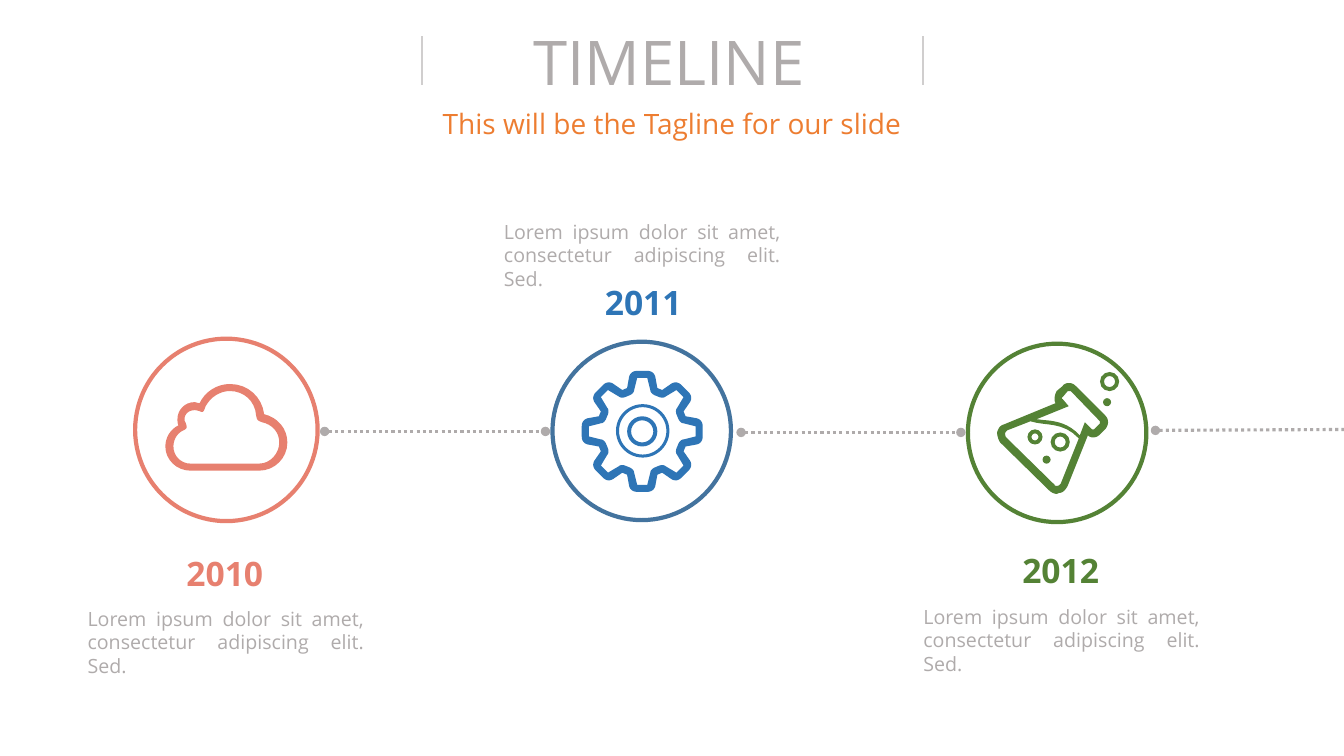
"""Build a three-stop timeline slide with line icons."""
from dataclasses import dataclass
from math import cos, pi, sin

from lxml.etree import SubElement as add_node
from pptx import Presentation
from pptx.dml.color import RGBColor as Color
from pptx.enum.dml import MSO_LINE as Dash
from pptx.enum.shapes import MSO_CONNECTOR as Link, MSO_SHAPE as Form
from pptx.enum.text import PP_ALIGN as Align
from pptx.oxml.ns import qn
from pptx.util import Inches, Pt

Point = tuple[float, float]
Path = list[Point]


@dataclass(frozen=True)
class Theme:
    """Hold the colours, the font and the type sizes."""
    font: str = "Open Sans"
    gray: str = "AFABAB"
    pale: str = "D0CECE"
    white: str = "FFFFFF"
    orange: str = "ED7D31"
    coral: str = "E7806F"
    blue: str = "2E75B6"
    steel: str = "43739E"
    green: str = "548235"
    title: int = 44
    year: int = 24
    tag: int = 20
    body: int = 14


@dataclass(frozen=True)
class Ring:
    """Describe a ring, or a solid dot when it has no thickness."""
    left: float
    top: float
    size: float
    thick: float = 0


@dataclass(frozen=True)
class Stop:
    """Describe one year on the timeline."""
    year: str
    hue: str
    edge: str
    disc: Ring
    head: Point
    note: Point
    icon: list[Path]
    rings: tuple[Ring, ...] = ()


@dataclass(frozen=True)
class Rule:
    """Describe one straight line."""
    start: Point
    end: Point
    hue: str
    width: float
    dotted: bool = False


THEME = Theme()
NOTE = "Lorem ipsum dolor sit amet, consectetur adipiscing elit. Sed."

CLOUD = (
    "2.57 4.6, 1.89 4.6, 1.79 4.6 1.72 4.52 1.72 4.43, 1.72 4.37 1.75 4.31 1.8 4.28,"
    "1.86 4.25 1.86 4.25 1.84 4.19, 1.83 4.18 1.83 4.17 1.83 4.16,"
    "1.83 4.11 1.87 4.07 1.93 4.07, 1.93 4.07 1.95 4.07 1.98 4.08,"
    "2.02 4.1 2.02 4.08 2.04 4.03, 2.09 3.94 2.18 3.88 2.28 3.88,"
    "2.42 3.88 2.53 3.98 2.54 4.12, 2.55 4.17 2.55 4.17 2.6 4.19,"
    "2.7 4.21 2.77 4.29 2.77 4.39, 2.77 4.5 2.68 4.6 2.57 4.6",
    "2.62 4.11, 2.6 3.94 2.46 3.81 2.28 3.81, 2.15 3.81 2.03 3.89 1.98 4,"
    "1.96 4 1.94 3.99 1.93 3.99, 1.83 3.99 1.76 4.07 1.76 4.16,"
    "1.76 4.18 1.76 4.2 1.77 4.22, 1.69 4.26 1.64 4.34 1.64 4.43,"
    "1.64 4.56 1.75 4.67 1.89 4.67, 2.57 4.67, 2.72 4.67 2.85 4.55 2.85 4.39,"
    "2.85 4.25 2.75 4.14 2.62 4.11",
)
FLASK = (
    "10.91 4.2, 10.85 4.26, 10.83 4.26, 10.76 4.19, 10.71 4.32,"
    "10.6 4.2 10.48 4.18 10.38 4.17, 10.35 4.17 10.31 4.16 10.28 4.16,"
    "10.6 4.03, 10.54 3.96, 10.53 3.96 10.53 3.94 10.54 3.94, 10.59 3.88,"
    "10.6 3.88 10.61 3.88 10.62 3.88, 10.91 4.18",
    "10.52 4.8, 10.51 4.81 10.5 4.82 10.49 4.82, 10.48 4.82,"
    "10.47 4.82 10.46 4.82 10.46 4.81, 9.98 4.34, 9.97 4.33 9.97 4.31 9.97 4.3,"
    "9.97 4.29 9.98 4.28 9.99 4.27, 10.22 4.18, 10.38 4.23 10.54 4.18 10.7 4.35",
    "10.67 3.83, 10.65 3.81 10.63 3.8 10.6 3.8, 10.58 3.8 10.55 3.81 10.54 3.83,"
    "10.48 3.88, 10.47 3.9 10.46 3.93 10.46 3.95, 10.46 3.97 10.46 3.99 10.47 4,"
    "9.96 4.21, 9.92 4.22 9.9 4.25 9.89 4.29, 9.89 4.32 9.9 4.36 9.92 4.39,"
    "10.4 4.86, 10.42 4.88 10.45 4.9 10.48 4.9, 10.49 4.9 10.5 4.89 10.51 4.89,"
    "10.54 4.89 10.57 4.86 10.59 4.82, 10.79 4.32, 10.8 4.33 10.82 4.34 10.84 4.34,"
    "10.87 4.34 10.89 4.33 10.91 4.31, 10.96 4.26, 10.98 4.24 10.99 4.21 10.99 4.19,"
    "10.99 4.16 10.98 4.14 10.96 4.12",
)
TEETH = (
    "0.43 -0.15, 0.54 -0.13, 0.58 -0.12 0.6 -0.09 0.6 -0.05, 0.6 0.05,"
    "0.6 0.09 0.58 0.12 0.54 0.13, 0.43 0.15",
    "0.36 -0.12, 0.37 -0.1 0.39 -0.08 0.41 -0.08, 0.53 -0.05, 0.53 0.05,"
    "0.41 0.08, 0.39 0.08 0.37 0.1 0.36 0.12",
)


def trace(text: str, steps: int = 8) -> Path:
    """Turn point pairs and cubic curves into a run of points."""
    path: Path = []
    for part in text.split(","):
        nums = [float(word) for word in part.split()]
        ends = list(zip(nums[::2], nums[1::2]))
        if len(ends) == 1:
            path += ends
            continue
        knots = [path[-1], *ends]
        for step in range(1, steps + 1):
            t = step / steps
            mix = ((1 - t) ** 3, 3 * t * (1 - t) ** 2, 3 * t * t * (1 - t), t ** 3)
            path.append((sum(m * k[0] for m, k in zip(mix, knots)),
                         sum(m * k[1] for m, k in zip(mix, knots))))
    return path


def spin(tooth: Path, mid: Point, count: int = 8) -> Path:
    """Repeat a tooth around a centre."""
    turns = [2 * pi * n / count for n in range(count)]
    return [(mid[0] + x * cos(a) - y * sin(a), mid[1] + x * sin(a) + y * cos(a))
            for a in turns for x, y in tooth]


def paint(shape, fill: str, edge: str | None = None) -> None:
    """Set the fill and the outline of a shape."""
    shape.shadow.inherit = False
    shape.fill.solid()
    shape.fill.fore_color.rgb = Color.from_string(fill)
    if edge:
        shape.line.color.rgb = Color.from_string(edge)
        shape.line.width = Pt(3)
    else:
        shape.line.fill.background()


def draw_ring(slide, ring: Ring, fill: str, edge: str | None = None) -> None:
    """Draw a ring, a dot or an outlined disc."""
    form = Form.DONUT if ring.thick else Form.OVAL
    shape = slide.shapes.add_shape(form, Inches(ring.left), Inches(ring.top),
                                   Inches(ring.size), Inches(ring.size))
    if ring.thick:
        shape.adjustments[0] = ring.thick / ring.size
    paint(shape, fill, edge)


def draw_icon(slide, paths: list[Path], hue: str) -> None:
    """Draw closed outlines as one filled shape."""
    first, *rest = [[(Inches(x), Inches(y)) for x, y in path] for path in paths]
    pen = slide.shapes.build_freeform(*first[0], scale=1.0)
    pen.add_line_segments(first[1:], close=True)
    for path in rest:
        pen.move_to(*path[0])
        pen.add_line_segments(path[1:], close=True)
    paint(pen.convert_to_shape(), hue)


def draw_rule(slide, rule: Rule) -> None:
    """Draw a plain line or a dotted one with round ends."""
    ends = [Inches(n) for n in (*rule.start, *rule.end)]
    link = slide.shapes.add_connector(Link.STRAIGHT, *ends)
    link.line.color.rgb = Color.from_string(rule.hue)
    link.line.width = Pt(rule.width)
    if rule.dotted:
        link.line.dash_style = Dash.ROUND_DOT
        for tag in ("a:headEnd", "a:tailEnd"):
            add_node(link.line._get_or_add_ln(), qn(tag), type="oval")
    add_node(link._element.spPr, qn("a:effectLst"))


def write(slide, text: str, *, spot: Point, size: Point, points: int, hue: str,
          align: Align = Align.CENTER, bold: bool = False) -> None:
    """Place one paragraph of text."""
    box = slide.shapes.add_textbox(*(Inches(n) for n in (*spot, *size)))
    box.text_frame.word_wrap = True
    line = box.text_frame.paragraphs[0]
    line.alignment = align
    run = line.add_run()
    run.text = text
    run.font.name, run.font.size, run.font.bold = THEME.font, Pt(points), bold
    run.font.color.rgb = Color.from_string(hue)


def draw_stop(slide, stop: Stop) -> None:
    """Draw the disc, icon and words of one stop."""
    draw_ring(slide, stop.disc, THEME.white, stop.edge)
    draw_icon(slide, stop.icon, stop.hue)
    for ring in stop.rings:
        draw_ring(slide, ring, stop.hue)
    write(slide, stop.year, spot=stop.head, size=(1.48, 0.5), points=THEME.year,
          hue=stop.hue, bold=True)
    write(slide, NOTE, spot=stop.note, size=(2.94, 0.57), points=THEME.body,
          hue=THEME.gray, align=Align.JUSTIFY)


STOPS = (
    Stop("2010", THEME.coral, THEME.coral, Ring(1.34, 3.36, 1.81), (1.49, 5.44),
         (0.77, 5.97), [trace(text) for text in CLOUD]),
    Stop("2011", THEME.blue, THEME.steel, Ring(5.48, 3.39, 1.77), (5.64, 2.75),
         (4.9, 2.13), [spin(trace(text), (6.37, 4.28)) for text in TEETH],
         (Ring(6.11, 4.01, 0.53, 0.03), Ring(6.22, 4.13, 0.3, 0.04))),
    Stop("2012", THEME.green, THEME.green, Ring(9.6, 3.41, 1.77), (9.78, 5.41),
         (9.06, 5.95), [trace(text) for text in FLASK],
         (Ring(10.42, 4.29, 0.19, 0.04), Ring(10.91, 3.69, 0.19, 0.04),
          Ring(10.19, 4.26, 0.15, 0.04), Ring(10.34, 4.52, 0.08),
          Ring(10.94, 3.95, 0.08))),
)
RULES = (
    *(Rule((x, 0.36), (x, 0.84), THEME.pale, 1.5) for x in (4.19, 9.15)),
    *(Rule(start, end, THEME.gray, 2.25, True) for start, end in (
        ((3.22, 4.28), (5.41, 4.28)), ((7.35, 4.29), (9.53, 4.29)),
        ((11.46, 4.27), (13.46, 4.26)))),
)


def main() -> None:
    """Build and save the slide."""
    deck = Presentation()
    deck.slide_width, deck.slide_height = Inches(13.33), Inches(7.5)
    slide = deck.slides.add_slide(deck.slide_layouts[6])
    write(slide, "This will be the Tagline for our slide", spot=(3.36, 1.01),
          size=(6.61, 0.44), points=THEME.tag, hue=THEME.orange)
    write(slide, "TIMELINE", spot=(2.14, 0.19), size=(8.99, 0.84),
          points=THEME.title, hue=THEME.gray)
    for stop in STOPS:
        draw_stop(slide, stop)
    for rule in RULES:
        draw_rule(slide, rule)
    deck.save("out.pptx")


if __name__ == "__main__":
    main()
